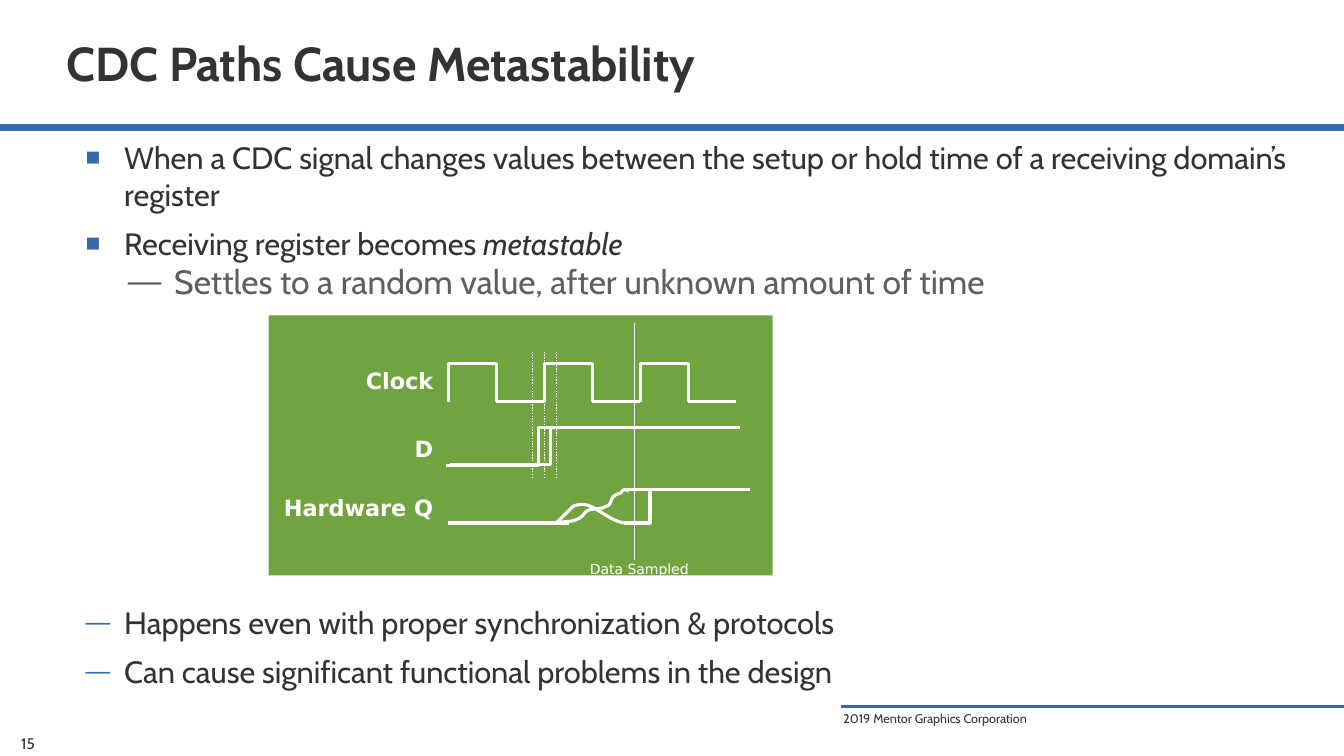
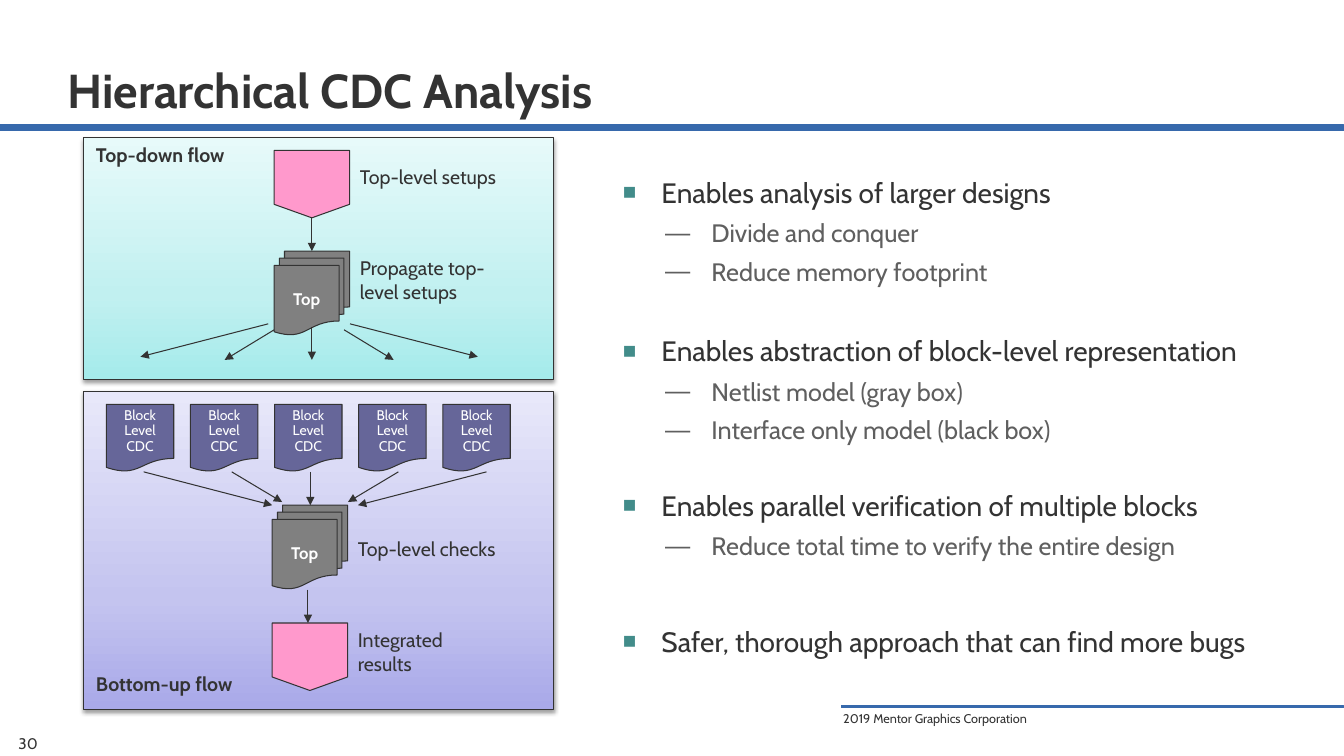
from dataclasses import dataclass

from lxml.etree import SubElement
from pptx import Presentation
from pptx.dml.color import RGBColor
from pptx.enum.dml import MSO_LINE
from pptx.enum.shapes import MSO_CONNECTOR, MSO_SHAPE as Preset
from pptx.enum.text import MSO_ANCHOR as Anchor, MSO_AUTO_SIZE, PP_ALIGN as Align
from pptx.oxml.ns import qn
from pptx.util import Cm, Pt

COLORS = {
    "blue": "3769AC", "teal": "428C8A", "ink": "333333", "gray": "5F5F5F",
    "white": "FFFFFF", "green": "71A441", "pink": "FF99CC", "steel": "808080",
    "violet": "666699",
}
AQUA = [(0, "A5EBEB"), (35, "C1F0F0"), (100, "E7FAFA")]
INDIGO = [(0, "A9A9E9"), (35, "C4C4EF"), (100, "E8E8FA")]
FONT, WAVE_FONT = "Cabin", "DejaVu Sans"
SLIDE_W, SLIDE_H = 33.87, 19.05
TITLE_H = 3.15
INDENTS = [(0.97, -0.97), (2.23, -1.17)]  # left margin and hanging, by level


@dataclass
class Bullet:
    char: str
    color: str
    size: int
    text_color: str = "ink"
    level: int = 0
    scale: int = 80


def rgb(name):
    return RGBColor.from_string(COLORS[name])


def cms(*lengths):
    return [Cm(length) for length in lengths]


# Text

def set_font(font, size, color, bold=False, name=FONT):
    font.name, font.size, font.bold = name, Pt(size), bold
    font.color.rgb = rgb(color)


def set_frame(frame, anchor=Anchor.TOP, side=0.25, right=None, edge=0.18):
    frame.word_wrap = True
    frame.auto_size = MSO_AUTO_SIZE.NONE
    frame.vertical_anchor = anchor
    frame.margin_left = Cm(side)
    frame.margin_right = Cm(side if right is None else right)
    frame.margin_top = frame.margin_bottom = Cm(edge)


def place(shape, box):
    shape.left, shape.top, shape.width, shape.height = cms(*box)


def add_label(slide, text, box, size=14, color="ink", bold=False, name=FONT,
              align=Align.LEFT, **frame_options):
    frame = slide.shapes.add_textbox(*cms(*box)).text_frame
    set_frame(frame, **{"edge": 0.13, **frame_options})
    paragraph = frame.paragraphs[0]
    paragraph.text, paragraph.alignment = text, align
    set_font(paragraph.font, size, color, bold, name)


def add_bullet(paragraph, bullet):
    paragraph.level = bullet.level
    props = paragraph._p.get_or_add_pPr()
    margin, hanging = INDENTS[bullet.level]
    props.set("marL", str(Cm(margin)))
    props.set("indent", str(Cm(hanging)))
    color = SubElement(props, qn("a:buClr"))
    SubElement(color, qn("a:srgbClr"), val=COLORS[bullet.color])
    SubElement(props, qn("a:buSzPct"), val=str(bullet.scale * 1000))
    SubElement(props, qn("a:buChar"), char=bullet.char)


def fill_list(slide, box, items, **frame_options):
    """Items are (text, bullet, space before); *stars* enclose italics."""
    body = slide.placeholders[1]
    place(body, box)
    frame = body.text_frame
    set_frame(frame, **frame_options)
    for index, (text, bullet, gap) in enumerate(items):
        paragraph = frame.add_paragraph() if index else frame.paragraphs[0]
        add_bullet(paragraph, bullet)
        paragraph.space_before = Pt(gap)
        set_font(paragraph.font, bullet.size, bullet.text_color)
        for part, words in enumerate(text.split("*")):
            if words:
                run = paragraph.add_run()
                run.text = words
                if part % 2:
                    run.font.italic = True


# Shapes and lines

def add_block(slide, preset, box, fill, line=None, lines=(), size=10,
              bold=False, spacing=1.0):
    block = slide.shapes.add_shape(preset, *cms(*box))
    block.shadow.inherit = False
    if fill:
        block.fill.solid()
        block.fill.fore_color.rgb = rgb(fill)
    if line:
        block.line.color.rgb = rgb(line)
        block.line.width = Pt(0.75)
    else:
        block.line.fill.background()
    if lines:
        frame = block.text_frame
        frame.word_wrap = False
        frame.vertical_anchor = Anchor.MIDDLE
        for index, text in enumerate(lines):
            paragraph = frame.add_paragraph() if index else frame.paragraphs[0]
            paragraph.text, paragraph.alignment = text, Align.CENTER
            paragraph.line_spacing = spacing
            set_font(paragraph.font, size, "white", bold)
    return block


def add_panel(slide, box, stops):
    """A rectangle with a vertical gradient and a soft shadow below."""
    panel = add_block(slide, Preset.RECTANGLE, box, None, "ink")
    panel.fill.gradient()
    panel.fill.gradient_angle = 90
    props = panel._element.spPr
    stop_list = props.find(".//" + qn("a:gsLst"))
    for old in list(stop_list):
        stop_list.remove(old)
    for position, color in stops:
        stop = SubElement(stop_list, qn("a:gs"), pos=str(position * 1000))
        SubElement(stop, qn("a:srgbClr"), val=color)
    shadow = SubElement(props.find(qn("a:effectLst")), qn("a:outerShdw"),
                        blurRad=str(Pt(3.1)), dist=str(Pt(1.6)),
                        dir="5400000", rotWithShape="0")
    black = SubElement(shadow, qn("a:srgbClr"), val="000000")
    SubElement(black, qn("a:alpha"), val="38000")


def add_line(slide, start, end, color="ink", width=0.75, dotted=False, arrow=False):
    line = slide.shapes.add_connector(MSO_CONNECTOR.STRAIGHT, *cms(*start, *end))
    line.line.color.rgb = rgb(color)
    line.line.width = Pt(width)
    if dotted:
        line.line.dash_style = MSO_LINE.ROUND_DOT
    if arrow:
        SubElement(line.line._get_or_add_ln(), qn("a:tailEnd"), type="triangle")
    SubElement(line._element.spPr, qn("a:effectLst"))


def add_wave(slide, points):
    builder = slide.shapes.build_freeform(*cms(*points[0]))
    builder.add_line_segments([cms(*point) for point in points[1:]], close=False)
    wave = builder.convert_to_shape()
    wave.shadow.inherit = False
    wave.fill.background()
    wave.line.color.rgb = rgb("white")
    wave.line.width = Pt(2.25)


def curve(start, *segments, steps=8):
    """Points along joined cubic Bezier segments."""
    points = [start]
    for first, second, end in segments:
        origin = points[-1]
        for step in range(1, steps + 1):
            t = step / steps
            weights = ((1 - t) ** 3, 3 * t * (1 - t) ** 2, 3 * t * t * (1 - t), t ** 3)
            controls = (origin, first, second, end)
            points.append(tuple(sum(w * c[axis] for w, c in zip(weights, controls))
                                for axis in (0, 1)))
    return points


def add_fan(slide, center, arms):
    """Mirrored arrows; an arm is (start offset, y, end offset, y)."""
    for start, start_y, end, end_y in arms:
        for side in (-1, 1):
            add_line(slide, (center + side * start, start_y),
                     (center + side * end, end_y), arrow=True)


# Shared slide frame

def new_slide(prs, title, number, title_left=0.0, **title_frame):
    slide = prs.slides.add_slide(prs.slide_layouts[1])
    for bar in ((0, TITLE_H, SLIDE_W, 0.15), (21.2, 17.78, 12.67, 0.05)):
        add_block(slide, Preset.RECTANGLE, bar, "blue", "blue")
    add_label(slide, "2019 Mentor Graphics Corporation", (21, 17.78, 8.43, 0.64), 9)
    add_label(slide, number, (0, 18.42, 1.42, 0.64), 11, align=Align.CENTER,
              anchor=Anchor.MIDDLE, side=0.33, edge=0.18)
    heading = slide.shapes.title
    place(heading, (title_left, 0, SLIDE_W - title_left, TITLE_H))
    set_frame(heading.text_frame, **title_frame)
    paragraph = heading.text_frame.paragraphs[0]
    paragraph.text, paragraph.alignment = title, Align.LEFT
    set_font(paragraph.font, 34, "ink", True)
    return slide


# Slide contents

def draw_timing(slide):
    add_block(slide, Preset.RECTANGLE, (6.77, 7.95, 12.7, 6.55), "green")
    for text, top in (("Clock", 9.12), ("D", 10.84), ("Hardware Q", 12.32)):
        add_label(slide, text, (6.37, top, 4.8, 0.94), 16, "white", True,
                  WAVE_FONT, Align.RIGHT)
    add_label(slide, "Data Sampled", (14.11, 14, 4, 0.69), 10, "white",
              name=WAVE_FONT, align=Align.CENTER)

    # Setup and hold window, sampling moment
    for x in (13.42, 13.72, 14.03):
        add_line(slide, (x, 8.86), (x, 12.04), "white", 1, dotted=True)
    add_line(slide, (16, 8.15), (16, 14.1), "white")

    # Clock
    period, low, high = 2.42, 10.12, 9.16
    for pulse in range(3):
        rise = 11.3 + pulse * period
        fall = rise + period / 2
        add_wave(slide, [(rise, low), (rise, high), (fall, high), (fall, low),
                         (rise + period, low)])

    # D, with its early and late edges
    for start, turn, edge, end, low in ((11.23, 12.78, 13.58, 18.64, 11.73),
                                        (11.35, 13.08, 13.87, 18.59, 11.71)):
        add_line(slide, (turn, low), (start, low), "white", 2.25)
        add_wave(slide, [(turn, low), (edge, low), (edge, 10.77), (end, 10.77)])

    # Hardware Q, settling high or falling back
    low, high = 13.18, 12.34
    for start, end in (((14.33, low), (11.4, low)), ((14.02, low), (11.3, low)),
                       ((14.02, low), (14.45, 12.75)), ((16.38, low), (15.72, low)),
                       ((15.8, high), (18.77, high))):
        add_line(slide, start, end, "white", 2.25)
    add_wave(slide, curve(
        (14.12, 13.16),
        ((14.38, 13.13), (14.48, 13.16), (14.68, 13.0)),
        ((14.81, 12.78), (14.96, 12.85), (15.19, 12.8)),
        ((15.27, 12.75), (15.37, 12.75), (15.39, 12.65)),
        ((15.44, 12.5), (15.49, 12.47), (15.65, 12.42)),
        ((15.67, 12.4), (15.7, high), (15.75, high)),
        ((15.77, high), (15.85, 12.37), (15.85, 12.37))))
    add_wave(slide, curve(
        (14.45, 12.75),
        ((14.55, 12.73), (14.66, 12.67), (14.86, 12.75)),
        ((15.09, 12.83), (15.37, 13.11), (15.72, low))))
    add_wave(slide, [(16, low), (16.38, low), (16.38, high), (18.9, high)])


def draw_flows(slide):
    add_panel(slide, (2.11, 9.87, 11.84, 8), INDIGO)
    add_panel(slide, (2.11, 3.47, 11.84, 6.09), AQUA)

    # Setups and results, top-level documents, block-level documents
    for x, pentagon_y, top_y in ((6.91, 3.79, 6.33), (6.86, 15.7, 12.73)):
        add_block(slide, Preset.FLOWCHART_OFFPAGE_CONNECTOR,
                  (x, pentagon_y, 1.9, 1.7), "pink", "ink")
        add_block(slide, Preset.FLOWCHART_MULTIDOCUMENT, (x, top_y, 1.9, 2.11),
                  "steel", "ink", ["Top"], 12, True)
    for column in range(5):
        add_block(slide, Preset.FLOWCHART_DOCUMENT,
                  (2.68 + column * 2.12, 10.19, 1.7, 1.7), "violet", "ink",
                  ["Block", "Level", "CDC"], spacing=0.9)

    # Arrows
    for x, start, end in ((7.86, 5.49, 6.33), (7.86, 8.23, 9.07),
                          (7.82, 11.89, 12.73), (7.76, 14.86, 15.7)):
        add_line(slide, (x, start), (x, end), arrow=True)
    add_fan(slide, 7.79, [(0.88, 8.31, 2.13, 9.07), (1.03, 8.16, 4.25, 8.99)])
    add_fan(slide, 7.94, [(2.1, 11.89, 0.83, 12.65), (4.32, 11.89, 1.08, 12.73)])

    # Labels
    for text, x, y in (("Top-level setups", 8.82, 4.02),
                       ("Propagate top-level setups", 8.82, 6.32),
                       ("Top-level checks", 8.77, 13.41),
                       ("Integrated results", 8.77, 15.7)):
        add_label(slide, text, (x, y, 4.06, 1.45))
    for text, y in (("Top-down flow", 3.48), ("Bottom-up flow", 16.81)):
        add_label(slide, text, (2.17, y, 4.5, 0.86), bold=True)


def main():
    prs = Presentation()
    prs.slide_width, prs.slide_height = cms(SLIDE_W, SLIDE_H)

    # Metastability
    slide = new_slide(prs, "CDC Paths Cause Metastability", "15", 1.42,
                      anchor=Anchor.MIDDLE)
    point = Bullet("■", "blue", 22)
    detail = Bullet("—", "gray", 24, "gray", level=1, scale=100)
    remark = Bullet("—", "blue", 22)
    fill_list(slide, (1.91, 3.31, 31.95, 14), [
        ("When a CDC signal changes values between the setup or hold time of a "
         "receiving domain’s register", point, 0),
        ("Receiving register becomes *metastable*", point, 8.5),
        ("Settles to a random value, after unknown amount of time", detail, 0),
        ("Happens even with proper synchronization & protocols", remark, 216),
        ("Can cause significant functional problems in the design", remark, 8.5),
    ])
    draw_timing(slide)

    # Hierarchical analysis
    slide = new_slide(prs, "Hierarchical CDC Analysis", "30",
                      anchor=Anchor.BOTTOM, side=1.7)
    draw_flows(slide)
    benefit = Bullet("■", "teal", 20)
    detail = Bullet("—", "gray", 18, "gray", level=1, scale=100)
    fill_list(slide, (14, 4.24, 19.46, 13.2), [
        ("Enables analysis of larger designs", benefit, 0),
        ("Divide and conquer", detail, 6),
        ("Reduce memory footprint", detail, 6),
        ("Enables abstraction of block-level representation", benefit, 34),
        ("Netlist model (gray box)", detail, 6),
        ("Interface only model (black box)", detail, 6),
        ("Enables parallel verification of multiple blocks", benefit, 31),
        ("Reduce total time to verify the entire design", detail, 6),
        ("Safer, thorough approach that can find more bugs", benefit, 45.5),
    ], side=1.7, right=1.02)

    prs.save("out.pptx")


if __name__ == "__main__":
    main()
